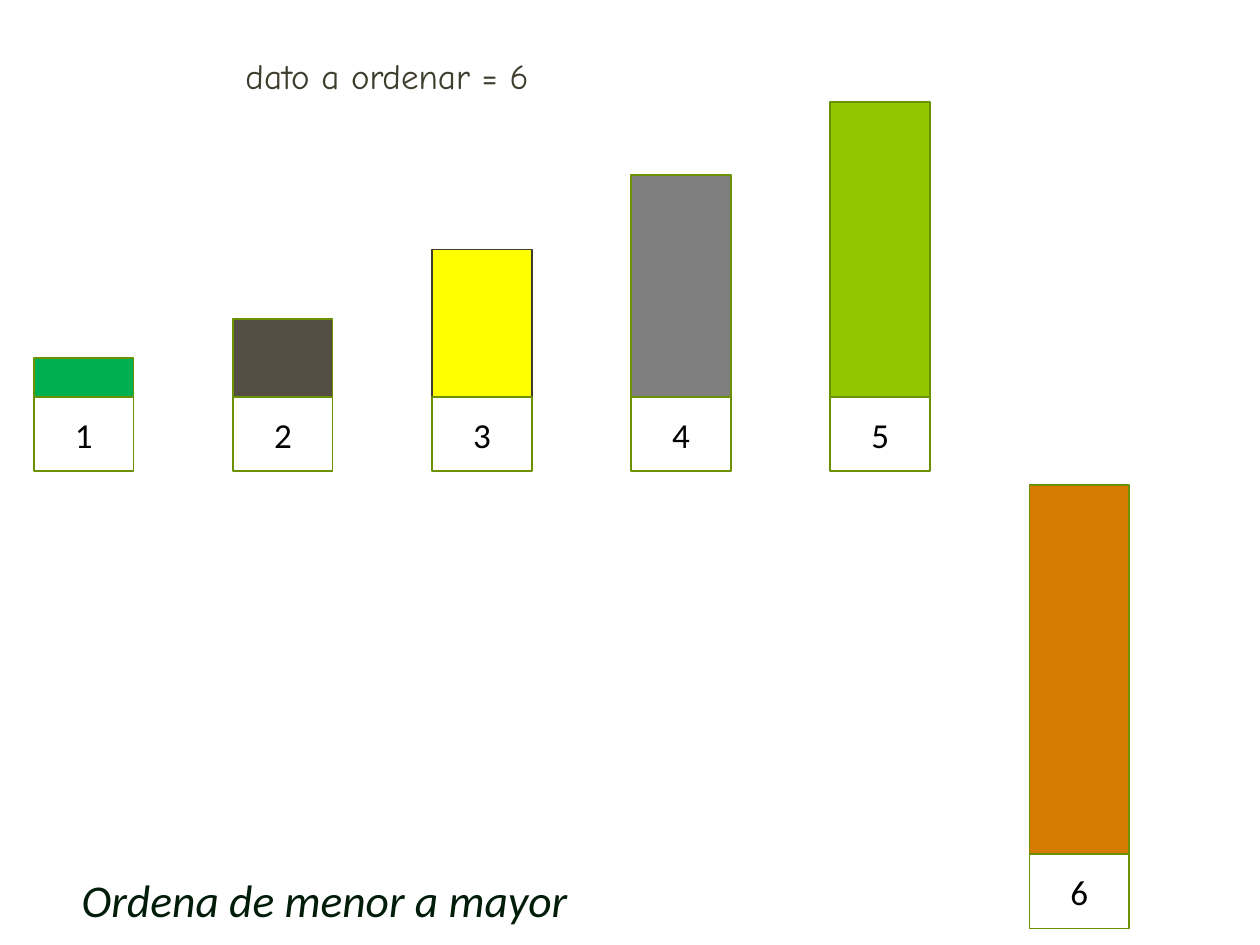
import pptx
import pptx.util
import pptx.dml.color
import pptx.enum.shapes
import pptx.enum.text

Inches = pptx.util.Inches
Pt = pptx.util.Pt

LEFT, STEP = 0.27, 1.58
WIDTH, LABEL = 0.79, 0.59
GREEN = "6B9100"

# height, base, fill, line
BARS = [
    (0.31, 3.15, "00B050", GREEN),
    (0.62, 3.15, "554E43", GREEN),
    (1.17, 3.15, "FFFF00", "3E3D2D"),
    (1.76, 3.15, "7F7F7F", GREEN),
    (2.34, 3.15, "94C600", GREEN),
    (2.93, 6.78, "D77C01", GREEN),
]


def paint(color, value):
    color.rgb = pptx.dml.color.RGBColor.from_string(value)


def write(shape, text, size, color, font="Calibri", italic=None):
    para = shape.text_frame.paragraphs[0]
    para.text = text
    para.font.name = font
    para.font.size = Pt(size)
    para.font.italic = italic
    paint(para.font.color, color)
    return para


def add_box(group, left, top, height, line, fill=None):
    box = group.shapes.add_shape(
        pptx.enum.shapes.MSO_SHAPE.RECTANGLE,
        Inches(left), Inches(top), Inches(WIDTH), Inches(height))
    box.shadow.inherit = False
    if fill:
        box.fill.solid()
        paint(box.fill.fore_color, fill)
    else:
        box.fill.background()
    paint(box.line.color, line)
    box.line.width = Pt(1)
    return box


def add_bar(slide, number, height, base, fill, line):
    """Group a bar with its number box below the base line."""
    group = slide.shapes.add_group_shape()
    left = LEFT + (number - 1) * STEP
    add_box(group, left, base - height, height, line, fill)
    label = add_box(group, left, base, LABEL, GREEN)
    label.text_frame.vertical_anchor = pptx.enum.text.MSO_ANCHOR.MIDDLE
    para = write(label, str(number), 20, "000000")
    para.alignment = pptx.enum.text.PP_ALIGN.CENTER


def add_text(slide, left, top, width, height, *style):
    box = slide.shapes.add_textbox(
        Inches(left), Inches(top), Inches(width), Inches(height))
    box.text_frame.word_wrap = True
    box.text_frame.auto_size = pptx.enum.text.MSO_AUTO_SIZE.SHAPE_TO_FIT_TEXT
    write(box, *style)


def main():
    deck = pptx.Presentation()
    deck.slide_width, deck.slide_height = Inches(10), Inches(7.5)
    slide = deck.slides.add_slide(deck.slide_layouts[6])
    for number, bar in enumerate(BARS, 1):
        add_bar(slide, number, *bar)
    add_text(slide, 0.55, 6.87, 4.17, 0.54,
             "Ordena de menor a mayor", 26, "011D09", "Calibri", True)
    add_text(slide, 1.85, 0.38, 3.7, 0.44,
             "dato a ordenar = 6", 20, "3E3D2D", "Comic Neue")
    deck.save("out.pptx")


if __name__ == "__main__":
    main()
